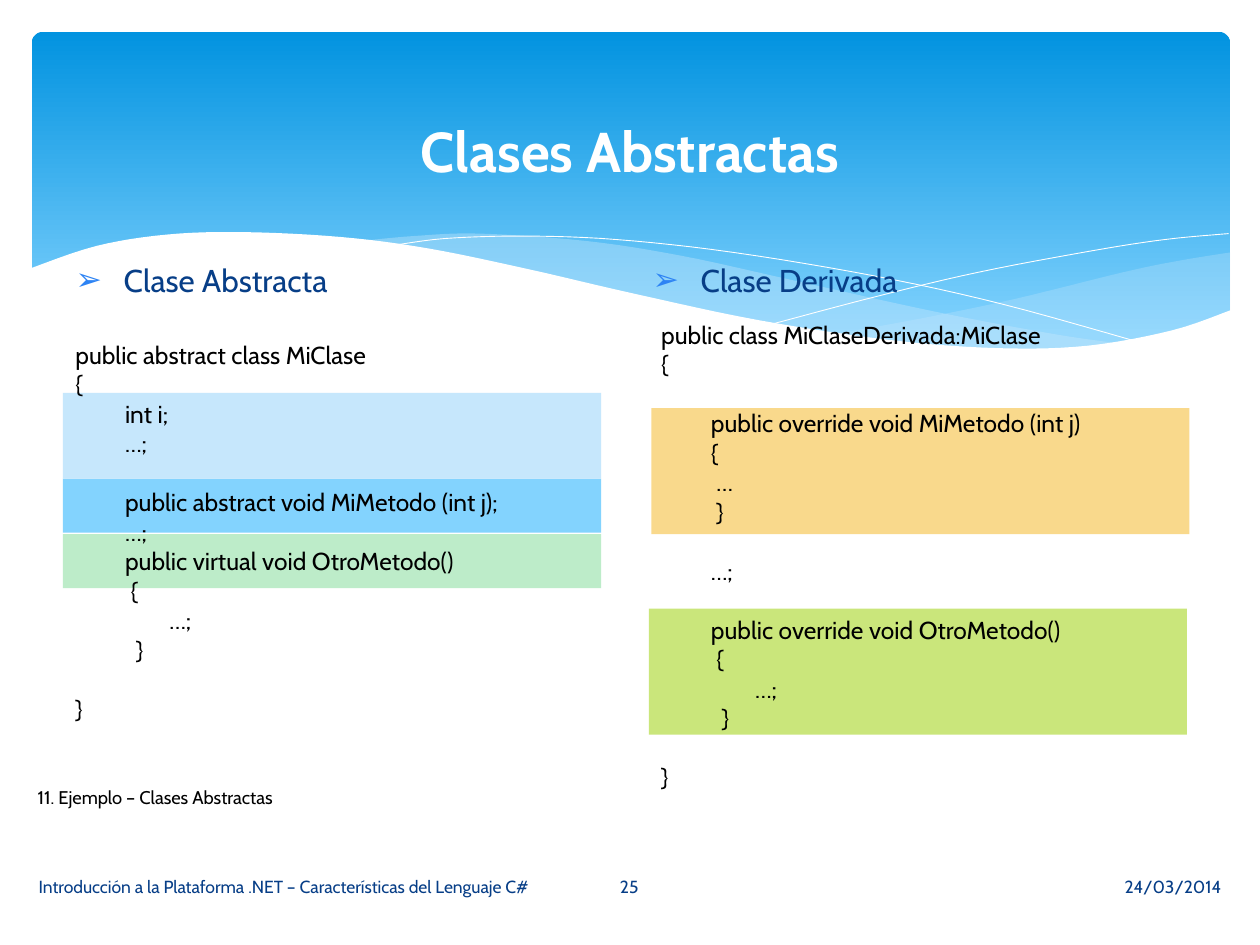
from lxml import etree
from pptx import Presentation
from pptx.dml.color import RGBColor
from pptx.enum.shapes import MSO_SHAPE
from pptx.enum.text import MSO_ANCHOR, MSO_AUTO_SIZE, PP_ALIGN
from pptx.oxml.ns import qn
from pptx.util import Cm, Pt

RECT, ROUND_RECT = MSO_SHAPE.RECTANGLE, MSO_SHAPE.ROUNDED_RECTANGLE
TOP, MIDDLE = MSO_ANCHOR.TOP, MSO_ANCHOR.MIDDLE
LEFT, CENTER, RIGHT = PP_ALIGN.LEFT, PP_ALIGN.CENTER, PP_ALIGN.RIGHT
NO_FIT = MSO_AUTO_SIZE.NONE
TWO_CONTENT = 3

FONT = "Cabin"
NAVY, WHITE, BLACK, PALE, SKY = "073E87", "FFFFFF", "000000", "C6E7FC", "83D3FE"
CODE_LINE = 17  # points per line of code

# Wave edges, in cm from the top left corner of the wave area
RIGHT_WAVE = [
    [(24.21, .41), (23.16, .58), (22.05, .81), (19.86, 1.35), (17.93, 1.75), (16.21, 2.06)],
    [(16.21, 2.06), (16.97, 2.16), (18.34, 2.31), (19.81, 2.39), (21.34, 2.31),
     (22.61, 2.11), (24.21, 1.6)],
]
MIDDLE_WAVE = [
    [(22.1, 2.26), (20.68, 2.06), (18.24, 1.6), (15.39, .97), (13.16, .48),
     (11.23, .18), (9.07, .03), (7.75, .08), (6.68, .18)],
    [(6.68, .18), (8.61, .48), (10.82, .97), (13.79, 1.63), (16.31, 2.08),
     (18.42, 2.34), (20.19, 2.39), (22.1, 2.26)],
]
FALLING_LINE = [[(7.26, .28), (8.38, .13), (9.98, .08), (11.84, .15), (14.2, .41),
                 (17.07, .89), (19.61, 1.45), (22.45, 2.24)]]
RISING_LINE = [[(14.99, 1.85), (17.07, 1.3), (19.13, .81), (21.41, .38),
                (22.89, .15), (24.18, .03)]]
WHITE_WAVE = [
    [(24.23, 1.57), (23.04, 1.98), (21.34, 2.29), (19.56, 2.34), (17.4, 2.18),
     (14.73, 1.78), (12.19, 1.24), (10.03, .74), (8.05, .33), (6.3, .1),
     (4.32, 0), (2.77, .05), (1.35, .28), (0, .74)],
    [(0, 3.68), (24.23, 3.68)],
]

ABSTRACT_CODE = """public abstract class MiClase
{
         int i;
         …;

         public abstract void MiMetodo (int j);
         …;
         public virtual void OtroMetodo()
          {
                 …;
           }

}"""
DERIVED_CODE = """public class MiClaseDerivada:MiClase
{

         public override void MiMetodo (int j)
         {
          …
          }

         …;

         public override void OtroMetodo()
          {
                 …;
           }

}"""


def rgb(value):
    return RGBColor.from_string(value)


def set_attrs(obj, **values):
    for name, value in values.items():
        setattr(obj, name, value)


def place(sp, x, y, w, h):
    set_attrs(sp, left=Cm(x), top=Cm(y), width=Cm(w), height=Cm(h))


def paint(sp, color, alpha=None):
    sp.shadow.inherit = False
    sp.line.fill.background()
    sp.fill.solid()
    sp.fill.fore_color.rgb = rgb(color)
    if alpha:
        clr = sp.fill._xPr.find(".//" + qn("a:srgbClr"))
        etree.SubElement(clr, qn("a:alpha"), val=str(alpha * 1000))


def write(p, text, size, color, align=LEFT, bold=False):
    p.alignment = align
    r = p.add_run()
    r.text = text
    set_attrs(r.font, name=FONT, size=Pt(size), bold=bold)
    r.font.color.rgb = rgb(color)


def textbox(s, x, y, w, h, anchor=TOP, wrap=True):
    tf = s.shapes.add_textbox(Cm(x), Cm(y), Cm(w), Cm(h)).text_frame
    set_attrs(tf, word_wrap=wrap, vertical_anchor=anchor)
    return tf


def smooth(knots, steps=6):
    """Points of a Catmull-Rom curve through the knots."""
    if len(knots) < 3:
        return knots
    ends = [knots[0], *knots, knots[-1]]
    points = []
    for a, b, c, d in zip(ends, ends[1:], ends[2:], ends[3:]):
        for t in (i / steps for i in range(steps)):
            points.append(tuple(
                (2 * q + (r - p) * t + (2 * p - 5 * q + 4 * r - u) * t ** 2
                 + (3 * q - p - 3 * r + u) * t ** 3) / 2
                for p, q, r, u in zip(a, b, c, d)))
    return points + [knots[-1]]


def curve(s, x, y, edges, closed=True):
    points = [(Cm(x + px), Cm(y + py)) for edge in edges for px, py in smooth(edge)]
    builder = s.shapes.build_freeform(*points[0])
    builder.add_line_segments(points[1:], close=closed)
    return builder.convert_to_shape()


def banner(s, x, y, w, h):
    sp = s.shapes.add_shape(ROUND_RECT, Cm(x), Cm(y), Cm(w), Cm(h))
    sp.adjustments[0] = 0.034
    paint(sp, SKY)
    sp.fill.gradient()
    sp.fill.gradient_angle = 270
    for stop, color, pos in zip(sp.fill.gradient_stops, ("0293E0", SKY), (0, 0.9)):
        stop.color.rgb = rgb(color)
        stop.position = pos

    wx, wy = x - 0.05, y + 4.04
    paint(curve(s, wx, wy, RIGHT_WAVE), PALE, 29)
    paint(curve(s, wx, wy, MIDDLE_WAVE), PALE, 40)
    for edges in (FALLING_LINE, RISING_LINE):
        sp = curve(s, wx, wy, edges, closed=False)
        sp.shadow.inherit = False
        sp.fill.background()
        sp.line.color.rgb = rgb(WHITE)
        sp.line.width = Pt(0.5)
    paint(curve(s, wx, wy, WHITE_WAVE), WHITE)


def placeholder(s, sp, x, y, w, h, anchor):
    """Move a placeholder in front of the shapes drawn so far."""
    s.shapes._spTree.append(sp._element)
    place(sp, x, y, w, h)
    tf = sp.text_frame
    set_attrs(tf, auto_size=NO_FIT, vertical_anchor=anchor, word_wrap=True)
    return tf.paragraphs[0]


def code_block(s, x, y, w, h, code):
    tf = textbox(s, x, y, w, h)
    p, gap = tf.paragraphs[0], 0
    for i, line in enumerate(code.split("\n")):
        if not line:
            gap += CODE_LINE
            continue
        p = tf.add_paragraph() if i else p
        if gap:
            p.space_before = Pt(gap)
        write(p, line, 14, BLACK)
        gap = 0


def column(s, sp, x, y, w, h, heading, bands, code_box, code):
    for bx, by, bw, bh, color in bands:
        paint(s.shapes.add_shape(RECT, Cm(x + bx), Cm(y + by), Cm(bw), Cm(bh)), color)
    p = placeholder(s, sp, x, y, w, h, TOP)
    pPr = p._p.get_or_add_pPr()
    pPr.set("marL", str(Cm(0.97)))
    pPr.set("indent", str(-Cm(0.97)))
    etree.SubElement(etree.SubElement(pPr, qn("a:buClr")), qn("a:srgbClr"), val="2D83F4")
    etree.SubElement(pPr, qn("a:buChar"), char="➢")
    p.space_before = Pt(0)
    write(p, heading, 18, NAVY)
    cx, cy, cw, ch = code_box
    code_block(s, x + cx, y + cy, cw, ch, code)


def footer(s, x, y, h):
    parts = [
        (0, 10.52, LEFT, "Introducción a la Plataforma .NET – Características del Lenguaje C#"),
        (10.54, 3.23, CENTER, "25"),
        (13.82, 10.52, RIGHT, "24/03/2014"),
    ]
    for dx, w, align, text in parts:
        write(textbox(s, x + dx, y, w, h, MIDDLE).paragraphs[0], text, 10, NAVY, align)


def main():
    prs = Presentation()
    set_attrs(prs, slide_width=Cm(25.4), slide_height=Cm(19.05))
    s = prs.slides.add_slide(prs.slide_layouts[TWO_CONTENT])
    title, left, right = list(s.placeholders)[:3]

    banner(s, 0.64, 0.64, 24.16, 6.86)
    write(placeholder(s, title, 1.27, 1.93, 22.86, 2.18, MIDDLE),
          "Clases Abstractas", 32, WHITE, CENTER, bold=True)
    column(s, left, 1.27, 5.13, 10.19, 11.89, "Clase Abstracta",
           [(0, 5.64, 10.85, 1.09, "BDECC9"), (0, 4.52, 10.85, 1.09, SKY),
            (0, 2.79, 10.85, 1.73, PALE)],
           (0, 1.6, 10.03, 8.03), ABSTRACT_CODE)
    column(s, right, 12.9, 5.13, 11.23, 11.89, "Clase Derivada",
           [(0.18, 7.14, 10.85, 2.54, "CAE67B"), (0.23, 3.1, 10.85, 2.54, "F9D98C")],
           (0.18, 1.19, 9.83, 9.83), DERIVED_CODE)
    write(textbox(s, 0.51, 15.72, 5.31, 0.71, wrap=False).paragraphs[0],
          "11. Ejemplo – Clases Abstractas", 10.5, BLACK)
    footer(s, 0.53, 17.37, 1.02)
    prs.save("out.pptx")


if __name__ == "__main__":
    main()
